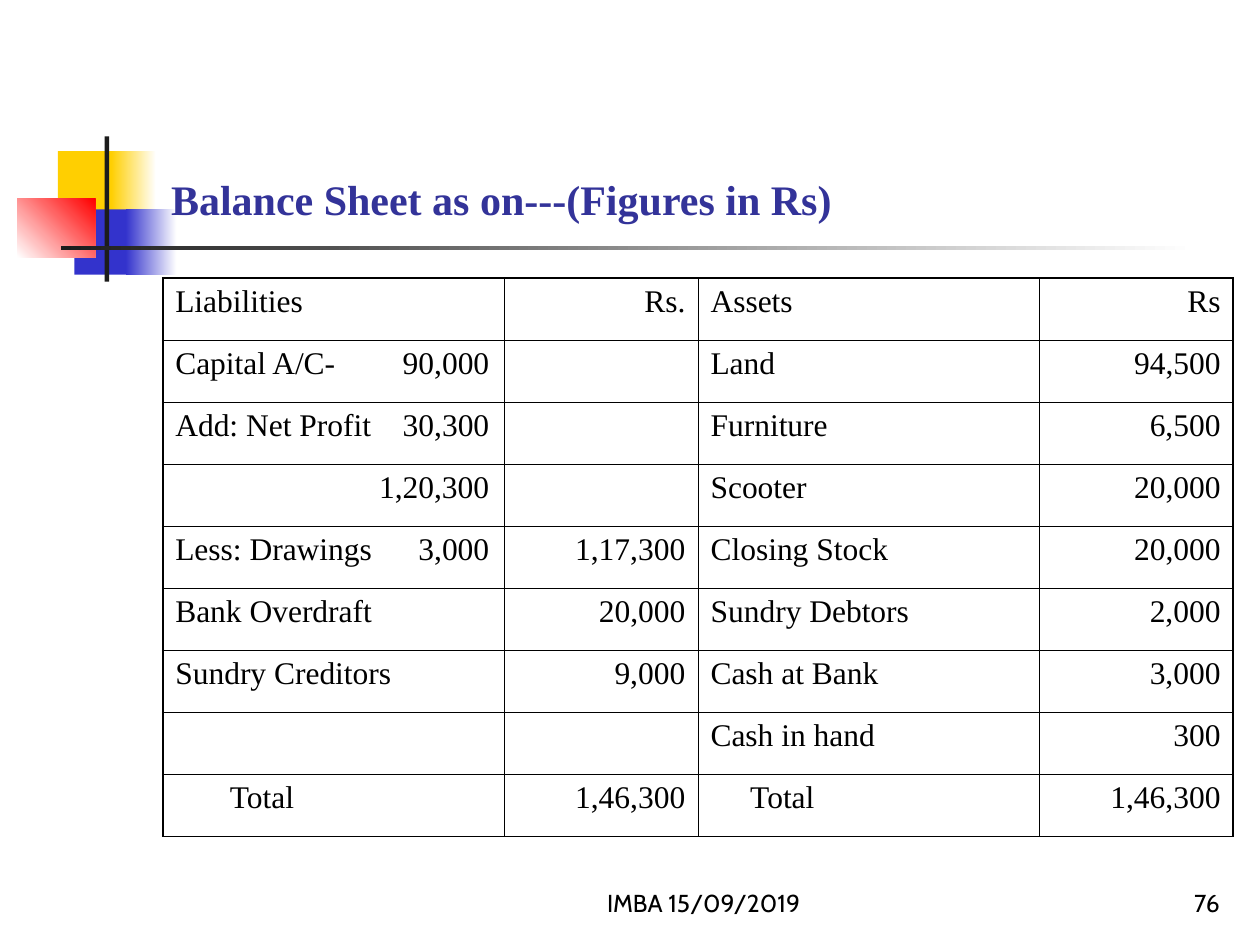
from dataclasses import dataclass

from lxml import etree
from pptx import Presentation
from pptx.dml.color import RGBColor
from pptx.enum.shapes import MSO_SHAPE
from pptx.enum.text import MSO_ANCHOR, PP_ALIGN
from pptx.oxml.ns import qn
from pptx.util import Cm, Pt

RECT = MSO_SHAPE.RECTANGLE
BOTTOM = MSO_ANCHOR.BOTTOM
LEFT, CENTER, RIGHT = PP_ALIGN.LEFT, PP_ALIGN.CENTER, PP_ALIGN.RIGHT


@dataclass(frozen=True)
class Theme:
    white: str = "FFFFFF"
    black: str = "000000"
    dark: str = "1C1C1C"
    yellow: str = "FFCF01"
    blue: str = "3333CC"
    red: str = "FF0000"
    title: str = "333399"
    body_font: str = "Times New Roman"
    footer_font: str = "Cabin"
    title_size: float = 24
    table_size: float = 18
    footer_size: float = 14
    thin: float = 0.45
    thick: float = 1.08


class SlideBuilder:
    def __init__(self, slide, theme):
        self.s = slide
        self.t = theme

    def block(self, x, y, w, h, color, end=None, angle=0):
        """Plain rectangle, or a gradient one when an end colour is given."""
        sp = self.s.shapes.add_shape(RECT, Cm(x), Cm(y), Cm(w), Cm(h))
        sp.shadow.inherit = False
        sp.line.fill.background()
        if end is None:
            sp.fill.solid()
            sp.fill.fore_color.rgb = RGBColor.from_string(color)
            return
        sp.fill.gradient()
        sp.fill.gradient_angle = angle
        for stop, c in zip(sp.fill.gradient_stops, (color, end)):
            stop.color.rgb = RGBColor.from_string(c)

    def style(self, p, font, size, color, align=LEFT, bold=False):
        p.alignment = align
        for r in p.runs:
            r.font.name = font
            r.font.size = Pt(size)
            r.font.bold = bold
            r.font.color.rgb = RGBColor.from_string(color)

    def text(self, x, y, w, h, text, *style, **options):
        tf = self.s.shapes.add_textbox(Cm(x), Cm(y), Cm(w), Cm(h)).text_frame
        tf.word_wrap = True
        tf.vertical_anchor = BOTTOM
        tf.text = text
        self.style(tf.paragraphs[0], *style, **options)

    def border(self, cell, sides):
        tc_pr = cell._tc.get_or_add_tcPr()
        for i, (side, width) in enumerate(sides.items()):
            ln = etree.Element(qn(f"a:ln{side}"), w=str(Pt(width)))
            fill = etree.SubElement(ln, qn("a:solidFill"))
            etree.SubElement(fill, qn("a:srgbClr"), val=self.t.black)
            tc_pr.insert(i, ln)

    def table(self, x, y, widths, row_h, rows, aligns, tab, indents):
        """Text after a tab is set flush right at the tab stop; indents apply to the last row."""
        t = self.t
        n_rows, n_cols = len(rows), len(widths)
        tbl = self.s.shapes.add_table(n_rows, n_cols, Cm(x), Cm(y), Cm(sum(widths)),
                                      Cm(row_h * n_rows)).table
        tbl.first_row = tbl.horz_banding = False
        for col, w in zip(tbl.columns, widths):
            col.width = Cm(w)
        for i, row in enumerate(rows):
            tbl.rows[i].height = Cm(row_h)
            for j, text in enumerate(row):
                cell = tbl.cell(i, j)
                cell.fill.background()
                outer = {"L": j == 0, "R": j == n_cols - 1, "T": i == 0, "B": i == n_rows - 1}
                self.border(cell, {k: t.thick if v else t.thin for k, v in outer.items()})
                p = cell.text_frame.paragraphs[0]
                p.text = text
                p_pr = p._p.get_or_add_pPr()
                if "\t" in text:
                    tabs = etree.SubElement(p_pr, qn("a:tabLst"))
                    etree.SubElement(tabs, qn("a:tab"), pos=str(Cm(tab)), algn="r")
                if i == n_rows - 1 and j in indents:
                    p_pr.set("marL", str(Cm(indents[j])))
                self.style(p, t.body_font, t.table_size, t.black, aligns[j])


def main():
    prs = Presentation()
    prs.slide_width, prs.slide_height = Cm(25.4), Cm(19.05)
    theme = Theme()
    b = SlideBuilder(prs.slides.add_slide(prs.slide_layouts[6]), theme)

    # Corner ornament and rule
    b.block(1.17, 3.05, 1.22, 1.32, theme.yellow)
    b.block(2.24, 3.05, 0.91, 1.32, theme.yellow, theme.white)
    b.block(1.5, 4.22, 1.17, 1.32, theme.blue)
    b.block(2.54, 4.22, 1.02, 1.32, theme.blue, theme.white)
    b.block(0.35, 4.01, 1.57, 1.18, theme.white, theme.red, angle=45)
    b.block(2.11, 2.75, 0.09, 2.93, theme.dark)
    b.block(1.23, 4.95, 22.86, 0.09, theme.dark, theme.white)

    # Footer
    footer = (theme.footer_font, theme.footer_size, theme.black)
    b.text(10.16, 17.35, 8.05, 1.27, "IMBA 15/09/2019", *footer, align=CENTER)
    b.text(19.56, 17.35, 5.28, 1.27, "76", *footer, align=RIGHT)

    # Title
    b.text(3.2, 0.58, 21.64, 4.06, "Balance Sheet as on---(Figures in Rs)",
           theme.body_font, theme.title_size, theme.title, bold=True)

    # Balance sheet
    rows = [
        ("Liabilities", "Rs.", "Assets", "Rs"),
        ("Capital A/C-\t90,000", "", "Land", "94,500"),
        ("Add: Net Profit\t30,300", "", "Furniture", "6,500"),
        ("\t1,20,300", "", "Scooter", "20,000"),
        ("Less: Drawings\t3,000", "1,17,300", "Closing Stock", "20,000"),
        ("Bank Overdraft", "20,000", "Sundry Debtors", "2,000"),
        ("Sundry Creditors", "9,000", "Cash at Bank", "3,000"),
        ("", "", "Cash in hand", "300"),
        ("Total", "1,46,300", "Total", "1,46,300"),
    ]
    b.table(3.28, 5.61, (6.88, 3.91, 6.88, 3.91), 1.25, rows,
            aligns=(LEFT, RIGHT, LEFT, RIGHT), tab=6.33, indents={0: 1.1, 2: 0.8})

    prs.save("out.pptx")


if __name__ == "__main__":
    main()
